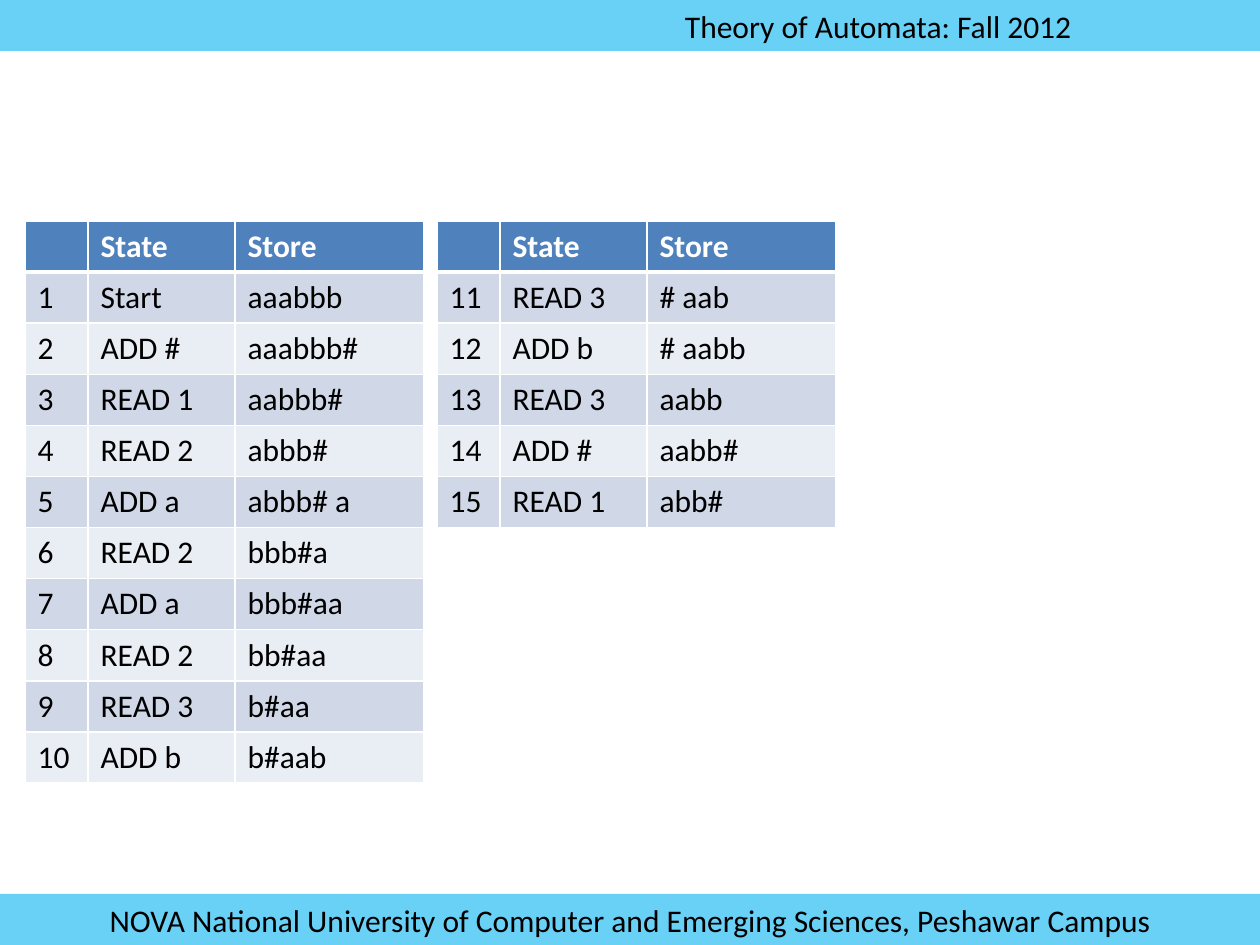
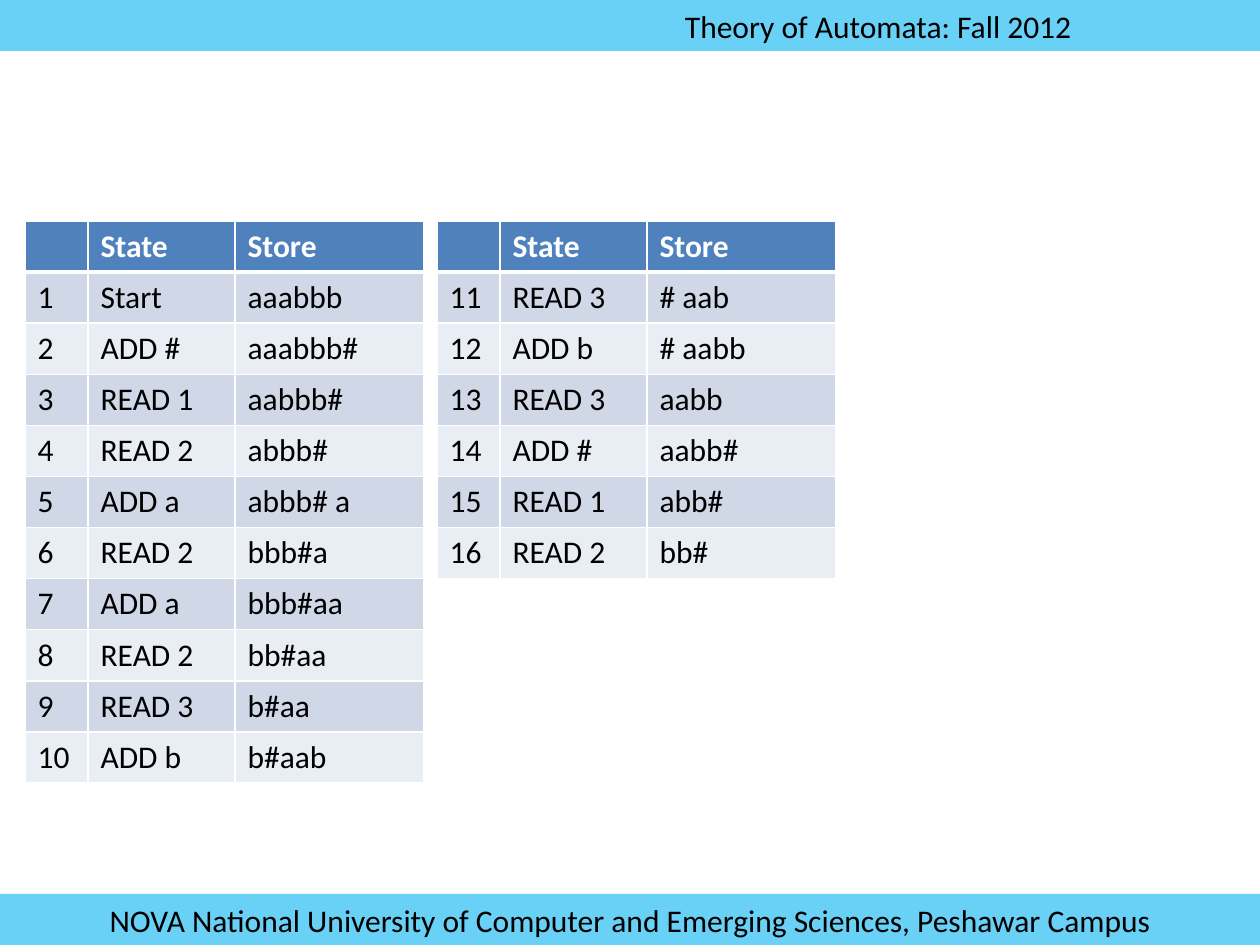
from lxml.etree import SubElement
from pptx import Presentation
from pptx.dml.color import RGBColor
from pptx.enum.shapes import MSO_SHAPE
from pptx.enum.text import MSO_ANCHOR, PP_ALIGN
from pptx.oxml.ns import qn
from pptx.util import Emu, Pt

PX = 914400 / 126
WIDTH, HEIGHT = 1260, 945
BAND_HEIGHT = 51
BAND_COLOUR, BAND_OPACITY = "00B0F0", 59
TABLE_LEFT, TABLE_TOP, TABLE_GAP = 25, 221, 13
COLUMNS = [63, 147, 189]
ROW_HEIGHT = 51
HEADER_FILL, ROW_FILLS = "4F81BD", ["D0D8E8", "E9EDF4"]
BLACK, WHITE = "000000", "FFFFFF"
THIN, THICK = 1, 3

# Top, text, left inset, alignment
BANDS = [
    (0, "Theory of Automata: Fall 2012", 685, PP_ALIGN.LEFT),
    (HEIGHT - BAND_HEIGHT,
     "NOVA National University of Computer and Emerging Sciences, Peshawar Campus",
     13, PP_ALIGN.CENTER),
]

STEPS = [
    ("Start", "aaabbb"), ("ADD #", "aaabbb#"), ("READ 1", "aabbb#"),
    ("READ 2", "abbb#"), ("ADD a", "abbb# a"), ("READ 2", "bbb#a"),
    ("ADD a", "bbb#aa"), ("READ 2", "bb#aa"), ("READ 3", "b#aa"),
    ("ADD b", "b#aab"), ("READ 3", "# aab"), ("ADD b", "# aabb"),
    ("READ 3", "aabb"), ("ADD #", "aabb#"), ("READ 1", "abb#"),
    ("READ 2", "bb#"),
]
STEPS_PER_TABLE = 10
STEPS_SHOWN = [15, 16]  # on each slide


def px(length):
    return Emu(round(length * PX))


def write(frame, text, colour, bold=False):
    span = frame.paragraphs[0].add_run()
    span.text = text
    for name, value in {"name": "Calibri", "size": Pt(18), "bold": bold}.items():
        setattr(span.font, name, value)
    span.font.color.rgb = RGBColor.from_string(colour)


deck = Presentation()
deck.slide_width, deck.slide_height = px(WIDTH), px(HEIGHT)

for shown in STEPS_SHOWN:
    page = deck.slides.add_slide(deck.slide_layouts[6])

    for top, text, inset, alignment in BANDS:
        band = page.shapes.add_shape(
            MSO_SHAPE.RECTANGLE, 0, px(top), px(WIDTH), px(BAND_HEIGHT))
        band.shadow.inherit = False
        band.line.fill.background()
        band.fill.solid()
        band.fill.fore_color.rgb = RGBColor.from_string(BAND_COLOUR)
        colour = band.fill._xPr.find(".//" + qn("a:srgbClr"))
        SubElement(colour, qn("a:alpha"), val=str(BAND_OPACITY * 1000))
        frame = band.text_frame
        frame.word_wrap = True
        frame.vertical_anchor = MSO_ANCHOR.MIDDLE
        frame.margin_left = px(inset)
        frame.paragraphs[0].alignment = alignment
        write(frame, text, BLACK)

    for first in range(0, shown, STEPS_PER_TABLE):
        last = min(first + STEPS_PER_TABLE, shown)
        rows = [("", "State", "Store")]
        rows += [(str(number + 1), *STEPS[number]) for number in range(first, last)]
        left = TABLE_LEFT + first // STEPS_PER_TABLE * (sum(COLUMNS) + TABLE_GAP)
        table = page.shapes.add_table(
            len(rows), len(COLUMNS), px(left), px(TABLE_TOP),
            px(sum(COLUMNS)), px(ROW_HEIGHT * len(rows))).table
        for column, width in zip(table.columns, COLUMNS):
            column.width = px(width)

        for row, values in enumerate(rows):
            table.rows[row].height = px(ROW_HEIGHT)
            header = row == 0
            fill = HEADER_FILL if header else ROW_FILLS[(row - 1) % 2]
            borders = {"L": THIN, "R": THIN,
                       "T": THICK if row == 1 else THIN,
                       "B": THICK if header else THIN}
            for column, value in enumerate(values):
                cell = table.cell(row, column)
                properties = cell._tc.get_or_add_tcPr()
                for side, points in borders.items():
                    line = SubElement(properties, qn(f"a:ln{side}"), w=str(Pt(points)))
                    paint = SubElement(line, qn("a:solidFill"))
                    SubElement(paint, qn("a:srgbClr"), val=WHITE)
                cell.fill.solid()
                cell.fill.fore_color.rgb = RGBColor.from_string(fill)
                if value:
                    write(cell.text_frame, value, WHITE if header else BLACK, header)

deck.save("out.pptx")
